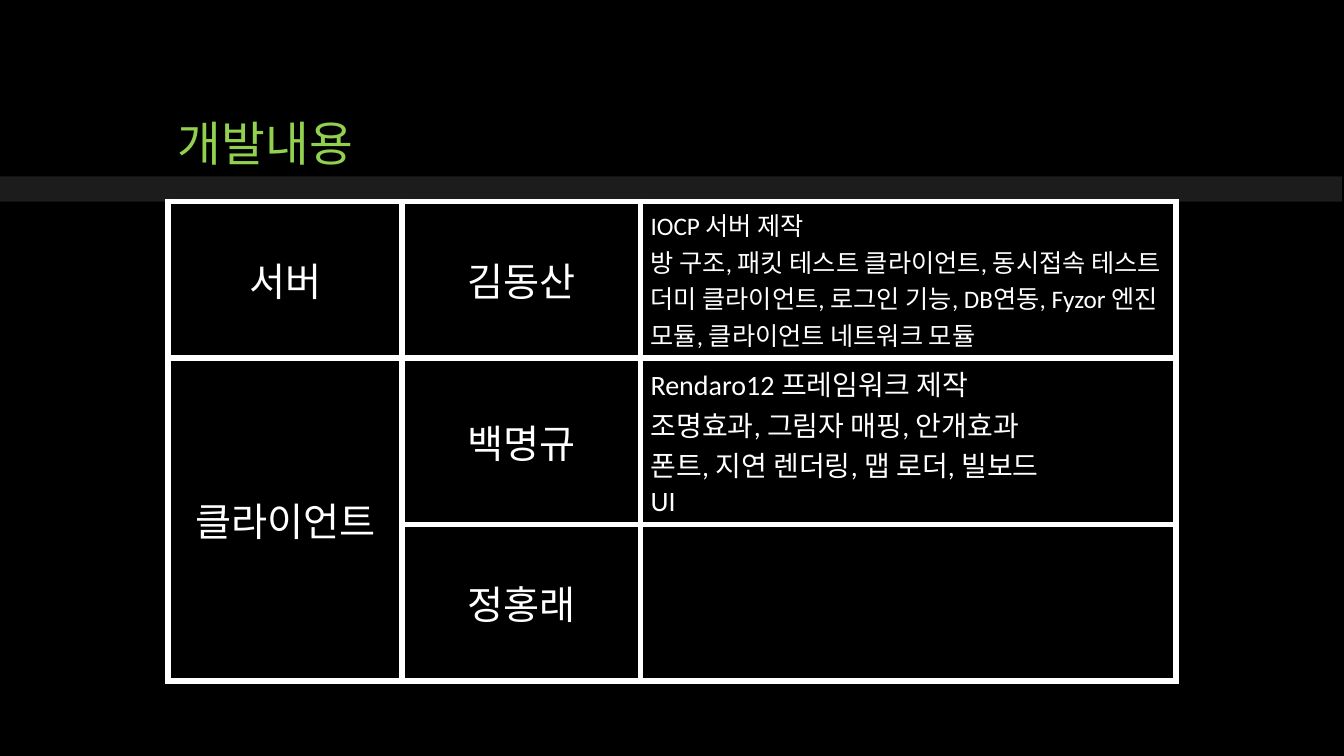
from dataclasses import dataclass

from lxml import etree
from pptx import Presentation
from pptx.dml.color import RGBColor
from pptx.enum.shapes import MSO_SHAPE
from pptx.enum.text import MSO_ANCHOR, PP_ALIGN
from pptx.oxml.ns import qn
from pptx.util import Pt

RECT = MSO_SHAPE.RECTANGLE
MIDDLE, BOTTOM, TOP = MSO_ANCHOR.MIDDLE, MSO_ANCHOR.BOTTOM, MSO_ANCHOR.TOP
CENTER, LEFT = PP_ALIGN.CENTER, PP_ALIGN.LEFT
SCALE = 9525


@dataclass(frozen=True)
class Theme:
    """Colours, fonts and type sizes of the slide."""
    back: str = "000000"
    band: str = "262626"
    ink: str = "FFFFFF"
    accent: str = "92D050"
    head_font: str = "Noto Sans CJK KR"
    body_font: str = "Calibri"
    head: int = 34
    name: int = 28
    server: int = 18
    client: int = 20
    rule: float = 4.5


THEME = Theme()
COLS = (223, 227, 510)
ROWS = (149, 149, 149)
NAMES = (("서버", "김동산"), ("클라이언트", "백명규"), ("", "정홍래"))
TASKS = (
    (THEME.server, (
        "IOCP 서버 제작",
        "방 구조, 패킷 테스트 클라이언트, 동시접속 테스트 더미 클라이언트, "
        "로그인 기능, DB연동, Fyzor 엔진 모듈, 클라이언트 네트워크 모듈",
    )),
    (THEME.client, (
        "Rendaro12 프레임워크 제작",
        "조명효과, 그림자 매핑, 안개효과",
        "폰트, 지연 렌더링, 맵 로더, 빌보드",
        "UI",
    )),
    (THEME.server, ()),
)


def px(*sizes):
    """Turn pixel lengths into EMU."""
    return [size * SCALE for size in sizes]


def write(frame, lines, size, font, color, align=LEFT):
    """Fill a text frame with one paragraph for each line."""
    for index, line in enumerate(lines):
        para = frame.paragraphs[0] if index == 0 else frame.add_paragraph()
        para.alignment = align
        run = para.add_run()
        run.text = line
        run.font.size = Pt(size)
        run.font.name = font
        run.font.color.rgb = RGBColor.from_string(color)


def frame_cell(cell):
    """Give a cell clear fill and a rule on all four sides."""
    props = cell._tc.get_or_add_tcPr()
    for side in ("lnL", "lnR", "lnT", "lnB"):
        line = etree.SubElement(props, qn("a:" + side), w=str(Pt(THEME.rule)))
        fill = etree.SubElement(line, qn("a:solidFill"))
        etree.SubElement(fill, qn("a:srgbClr"), val=THEME.ink)
    cell.fill.background()


def add_band(slide, box):
    """Draw the translucent band below the title."""
    band = slide.shapes.add_shape(RECT, *px(*box))
    band.shadow.inherit = False
    band.line.fill.background()
    band.fill.solid()
    band.fill.fore_color.rgb = RGBColor.from_string(THEME.band)
    color = band.fill._xPr.find(".//" + qn("a:srgbClr"))
    etree.SubElement(color, qn("a:alpha"), val="75000")


def add_title(slide, box):
    """Set the title at the bottom of its box."""
    frame = slide.shapes.add_textbox(*px(*box)).text_frame
    frame.word_wrap = True
    frame.vertical_anchor = BOTTOM
    write(frame, ["개발내용"], THEME.head, THEME.head_font, THEME.accent)
    para = frame.paragraphs[0]
    para.line_spacing = 0.9
    props = para.runs[0].font._element
    etree.SubElement(props, qn("a:ea"), typeface=THEME.head_font)


def add_tasks(slide, box):
    """Build the table of teams, members and their work."""
    shape = slide.shapes.add_table(len(ROWS), len(COLS), *px(*box))
    table = shape.table
    table.first_row = table.horz_banding = False
    for col, width in zip(table.columns, px(*COLS)):
        col.width = width
    for row, height in zip(table.rows, px(*ROWS)):
        row.height = height
    for cell in table.iter_cells():
        frame_cell(cell)
    table.cell(1, 0).merge(table.cell(2, 0))
    for row, (names, (size, lines)) in enumerate(zip(NAMES, TASKS)):
        for col, name in enumerate(names):
            if name:
                cell = table.cell(row, col)
                cell.vertical_anchor = MIDDLE
                write(cell.text_frame, [name], THEME.name, THEME.body_font,
                      THEME.ink, CENTER)
        cell = table.cell(row, 2)
        cell.vertical_anchor = TOP
        write(cell.text_frame, lines, size, THEME.body_font, THEME.ink)


def main():
    """Build the slide and save it."""
    deck = Presentation()
    deck.slide_width, deck.slide_height = px(1280, 720)
    slide = deck.slides.add_slide(deck.slide_layouts[6])
    slide.background.fill.solid()
    slide.background.fill.fore_color.rgb = RGBColor.from_string(THEME.back)
    add_band(slide, (-2, 168, 1280, 24))
    add_tasks(slide, (160, 192, sum(COLS), sum(ROWS)))
    add_title(slide, (160, 48, 960, 120))
    deck.save("out.pptx")


if __name__ == "__main__":
    main()
